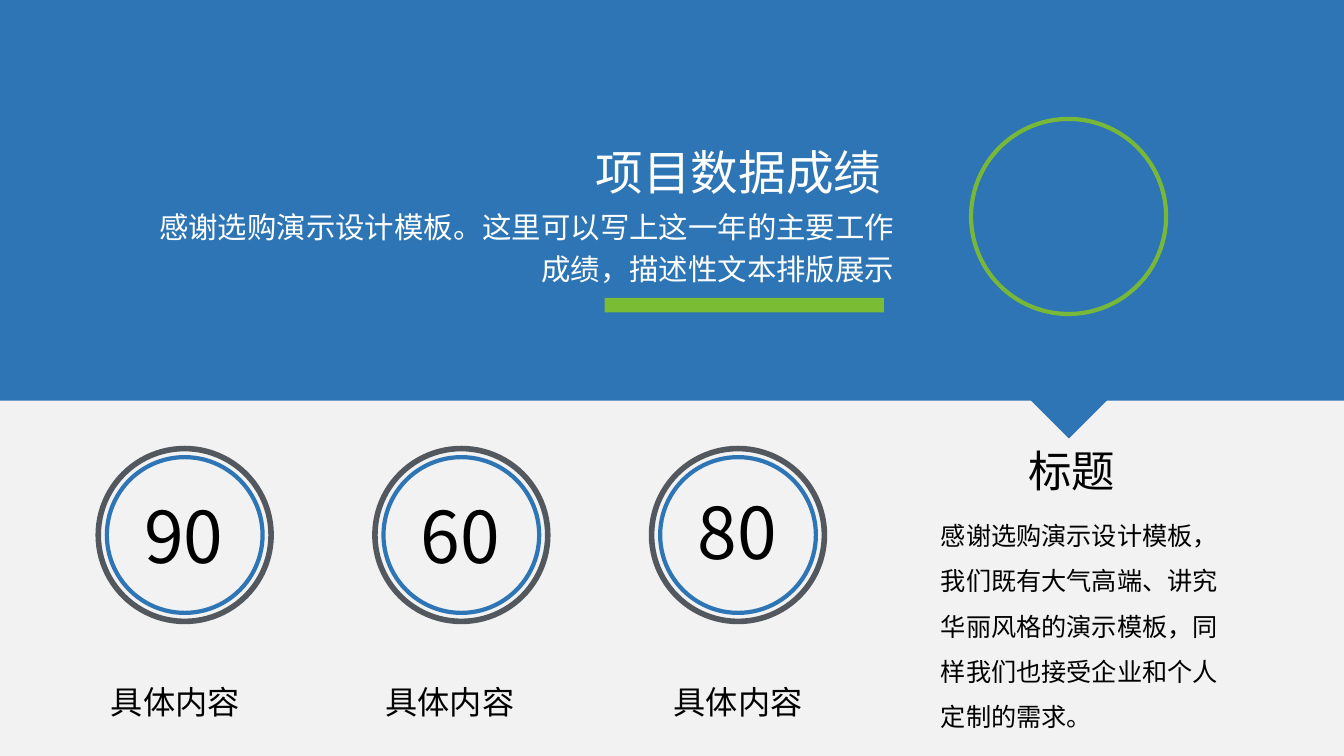
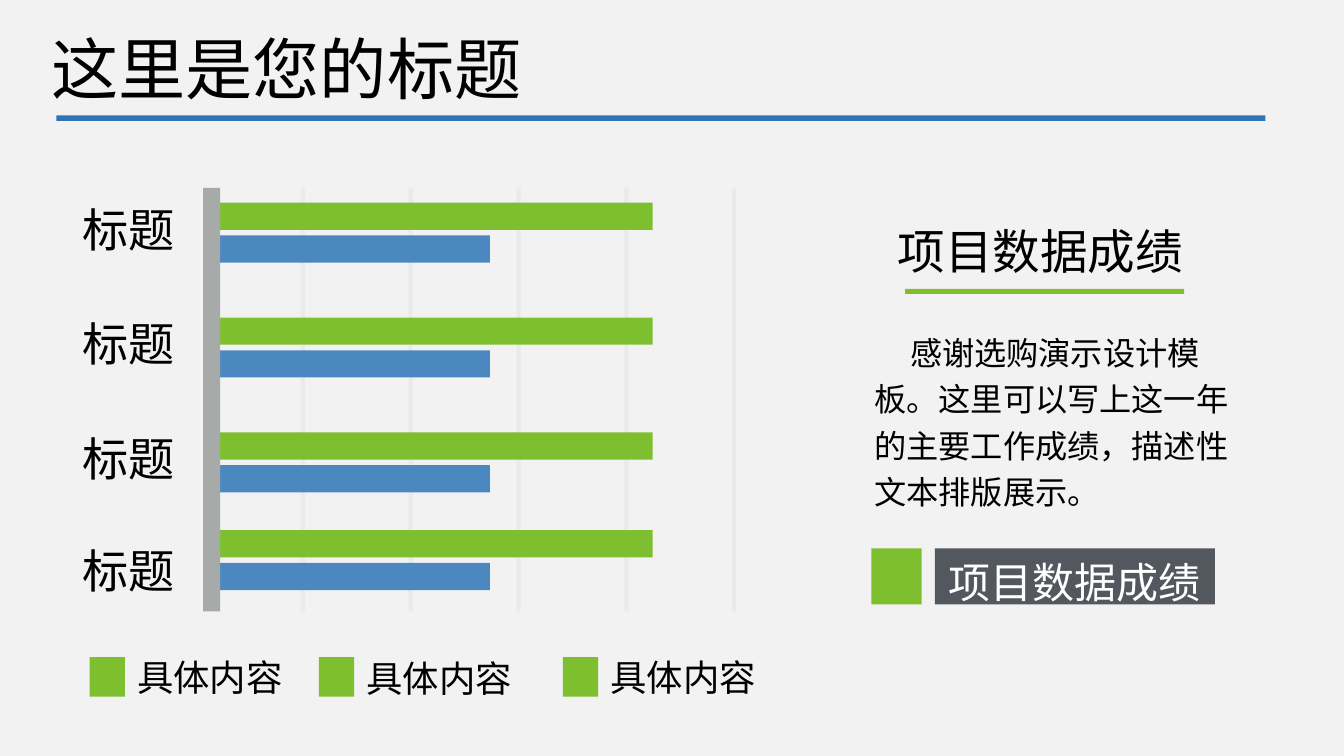
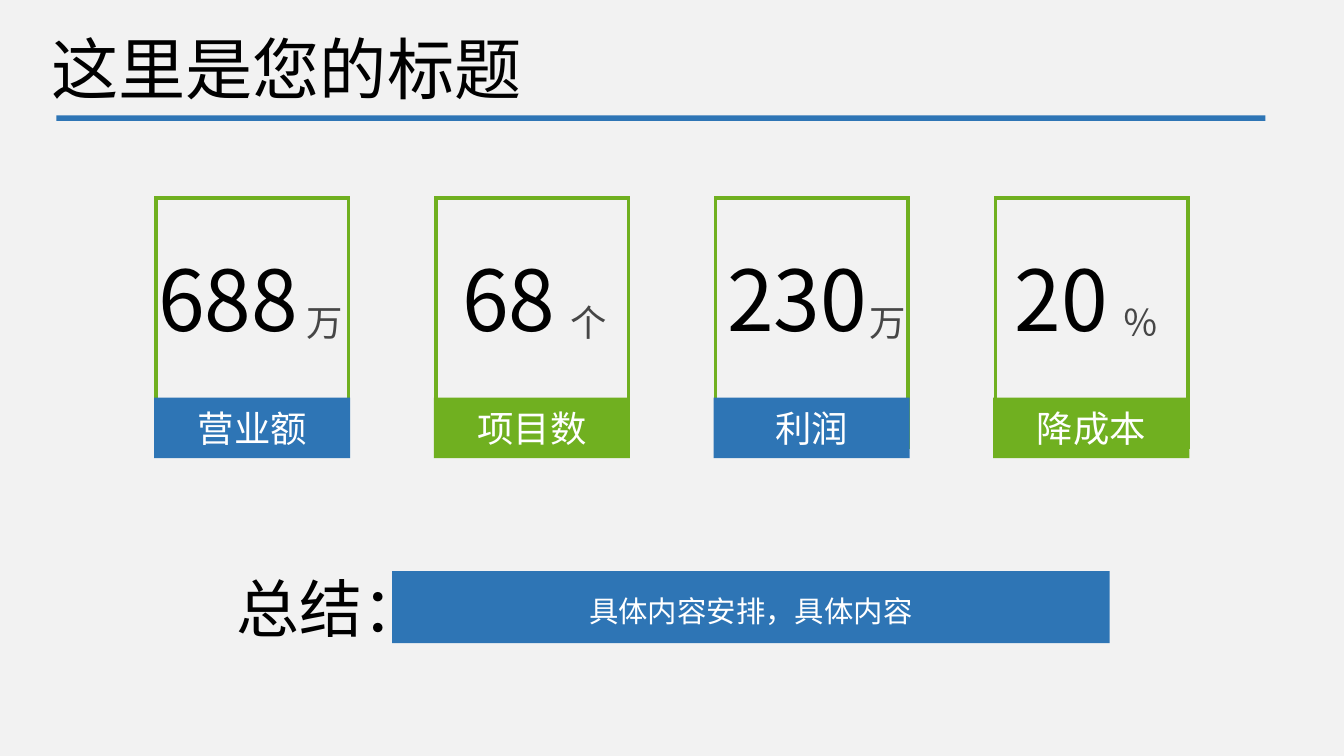
from pptx import Presentation
from pptx.dml.color import RGBColor
from pptx.enum.shapes import MSO_SHAPE
from pptx.enum.text import MSO_ANCHOR, MSO_AUTO_SIZE, PP_ALIGN
from pptx.oxml.ns import qn
from pptx.util import Pt
from lxml import etree

PX = 9144  # 100 px to the inch
WIDTH, HEIGHT = 2667, 1500
FONT = "Noto Sans CJK SC"
BLUE, GREEN, LEAF, SLATE = "2E75B5", "7EBF2F", "70B020", "53585F"
BLACK, WHITE, PAPER = "000000", "FFFFFF", "F2F2F2"
LEFT, CENTER, RIGHT = PP_ALIGN.LEFT, PP_ALIGN.CENTER, PP_ALIGN.RIGHT

HEADING = "项目数据成绩"
PAGE_TITLE = "这里是您的标题"
DETAIL = "具体内容"
ITEM = "标题"
INTRO = "感谢选购演示设计模板。这里可以写上这一年的主要工作成绩，描述性文本排版展示"
ABOUT = "感谢选购演示设计模板，我们既有大气高端、讲究华丽风格的演示模板，同样我们也接受企业和个人定制的需求。"
SUMMARY = "具体内容安排，具体内容"

# score, top of the score, left of its caption
SCORES = [("90", 985, 214), ("60", 985, 759), ("80", 977, 1331)]
# top of the bars, top of the row label
BAR_ROWS = [(402, 402), (630, 630), (858, 858), (1052, 1080)]
# width, colour and offset of the bars in a row
BARS = [(888, GREEN, 0), (565, "4B88C0", 65)]
# left of the swatch, top of its label
LEGEND = [(178, 1301), (633, 1304), (1117, 1301)]
# value, left and width of the value, unit, left of the unit, label, band colour
FIGURES = [
    ("688", 300, 306, "万", 603, "营业额", BLUE),
    ("68", 906, 208, "个", 1126, "项目数", LEAF),
    ("230", 1429, 306, "万", 1720, "利润", BLUE),
    ("20", 2002, 208, "％", 2222, "降成本", LEAF),
]


def rgb(value):
    return RGBColor.from_string(value)


def emu(*lengths):
    return [n * PX for n in lengths]


def write(sp, content, size=46, color=BLACK, align=LEFT, spacing=1.0, wrap=False, indent=0):
    """Fill a shape with one formatted paragraph."""
    tf = sp.text_frame
    tf.word_wrap = wrap
    tf.vertical_anchor = MSO_ANCHOR.MIDDLE
    tf.margin_left = tf.margin_top = tf.margin_right = tf.margin_bottom = 6 * PX
    p = tf.paragraphs[0]
    p.alignment, p.line_spacing = align, spacing
    if indent:
        p._p.get_or_add_pPr().set("indent", str(indent * PX))
    r = p.add_run()
    r.text = content
    r.font.size, r.font.name, r.font.color.rgb = Pt(size), FONT, rgb(color)
    r.font._element.find(qn("a:latin")).addnext(
        etree.Element(qn("a:ea"), typeface=FONT))


def add_text(s, box, content, **style):
    sp = s.shapes.add_textbox(*emu(*box))
    write(sp, content, **style)
    sp.text_frame.auto_size = MSO_AUTO_SIZE.SHAPE_TO_FIT_TEXT


def add_title(s, box, content, **style):
    sp = s.shapes.title
    s.shapes.element.append(sp.element)  # in front of what is drawn so far
    sp.left, sp.top, sp.width, sp.height = emu(*box)
    write(sp, content, align=CENTER, **style)
    sp.text_frame.auto_size = MSO_AUTO_SIZE.SHAPE_TO_FIT_TEXT


def paint(sp, fill=None, line=None, weight=0, alpha=100):
    sp.shadow.inherit = False
    if fill:
        sp.fill.solid()
        sp.fill.fore_color.rgb = rgb(fill)
    else:
        sp.fill.background()
    if line:
        sp.line.color.rgb, sp.line.width = rgb(line), Pt(weight)
        etree.SubElement(sp.element.spPr.find(qn("a:ln")), qn("a:miter"), lim="800000")
    else:
        sp.line.fill.background()
    if alpha < 100:
        for clr in sp.element.spPr.iter(qn("a:srgbClr")):
            etree.SubElement(clr, qn("a:alpha"), val=str(alpha * 1000))


def add_rect(s, box, fill=None, **look):
    sp = s.shapes.add_shape(MSO_SHAPE.RECTANGLE, *emu(*box))
    paint(sp, fill, **look)
    return sp


def add_ring(s, left, top, size, line, weight, alpha=100):
    sp = s.shapes.add_shape(MSO_SHAPE.OVAL, *emu(left, top, size, size))
    paint(sp, line=line, weight=weight, alpha=alpha)


def add_page_title(s):
    add_title(s, (95, 62, 946, 145), PAGE_TITLE, size=96)
    add_rect(s, (112, 229, 2399, 11), BLUE)


def score_slide(s):
    add_rect(s, (0, 0, WIDTH, 795), BLUE)
    pen = s.shapes.build_freeform(2045, 794, scale=PX)
    pen.add_line_segments([(2121, 870), (2197, 794)], close=True)
    paint(pen.convert_to_shape(), BLUE)

    add_text(s, (1861, 1044, 603, 366), ABOUT, size=36, spacing=1.5, wrap=True)
    add_text(s, (2034, 884, 185, 97), ITEM, size=62, align=CENTER)

    add_ring(s, 1927, 236, 387, "7ABB34", 6, alpha=96)
    add_title(s, (1164, 218, 603, 222), HEADING, size=68, color=WHITE, spacing=1.2)
    add_rect(s, (1200, 591, 554, 29), GREEN, alpha=96)
    add_text(s, (275, 379, 1505, 212), INTRO, size=42, color=WHITE,
             align=RIGHT, spacing=1.2, wrap=True)

    for i, (score, top, caption_left) in enumerate(SCORES):
        left = 195 + 549 * i
        add_ring(s, left + 17, 907, 309, BLUE, 6)
        add_text(s, (left + 75, top, 190, 153), score, size=102, align=CENTER)
        add_ring(s, left, 890, 343, SLATE, 8)
        add_text(s, (caption_left, 1308, 343, 152), DETAIL, spacing=1.2, wrap=True)


def bar_slide(s):
    for i in range(5):
        add_rect(s, (597 + 214 * i, 373, 8, 840), "DCDEE0", alpha=40)
    for top, label_top in BAR_ROWS:
        for width, color, offset in BARS:
            add_rect(s, (407, top + offset, width, 54), color)
        add_text(s, (158, label_top, 196, 103), ITEM, size=66, align=CENTER)
    add_rect(s, (403, 373, 34, 840), "A6AAA9")

    for left, label_top in LEGEND:
        add_rect(s, (left, 1304, 70, 78), GREEN)
        add_text(s, (left + 88, label_top, 301, 84), DETAIL, size=52, align=CENTER)

    add_text(s, (1763, 374, 603, 222), HEADING, size=68, align=CENTER, spacing=1.2)
    add_rect(s, (1796, 573, 554, 10), GREEN)
    add_text(s, (1729, 637, 720, 386), INTRO + "。", spacing=1.2, wrap=True, indent=71)
    add_rect(s, (1729, 1088, 100, 111), GREEN)
    tag = add_rect(s, (1855, 1088, 556, 111), SLATE)
    write(tag, HEADING, size=60, color=WHITE, align=CENTER, spacing=1.2)
    add_page_title(s)


def figure_slide(s):
    for i, (value, left, width, unit, unit_left, label, color) in enumerate(FIGURES):
        card = 306 + 555 * i
        add_rect(s, (card + 4, 393, 382, 494), line=LEAF, weight=5)
        band = add_rect(s, (card, 789, 389, 120), color)
        write(band, label, size=52, color=WHITE, align=CENTER)
        add_text(s, (unit_left, 597, 85, 84), unit, size=52, color="464646")
        add_text(s, (left, 475, width, 231), value, size=120, align=CENTER)

    bar = add_rect(s, (778, 1133, 1424, 143), BLUE)
    write(bar, SUMMARY, size=42, color=WHITE, align=CENTER, spacing=1.2)
    add_text(s, (464, 1136, 388, 137), "总结：", size=90)
    add_page_title(s)


def main():
    prs = Presentation()
    prs.slide_width, prs.slide_height = emu(WIDTH, HEIGHT)
    backdrop = prs.slide_master.background.fill
    backdrop.solid()
    backdrop.fore_color.rgb = rgb(PAPER)
    for build in (score_slide, bar_slide, figure_slide):
        build(prs.slides.add_slide(prs.slide_layouts[5]))
    prs.save("out.pptx")


if __name__ == "__main__":
    main()
